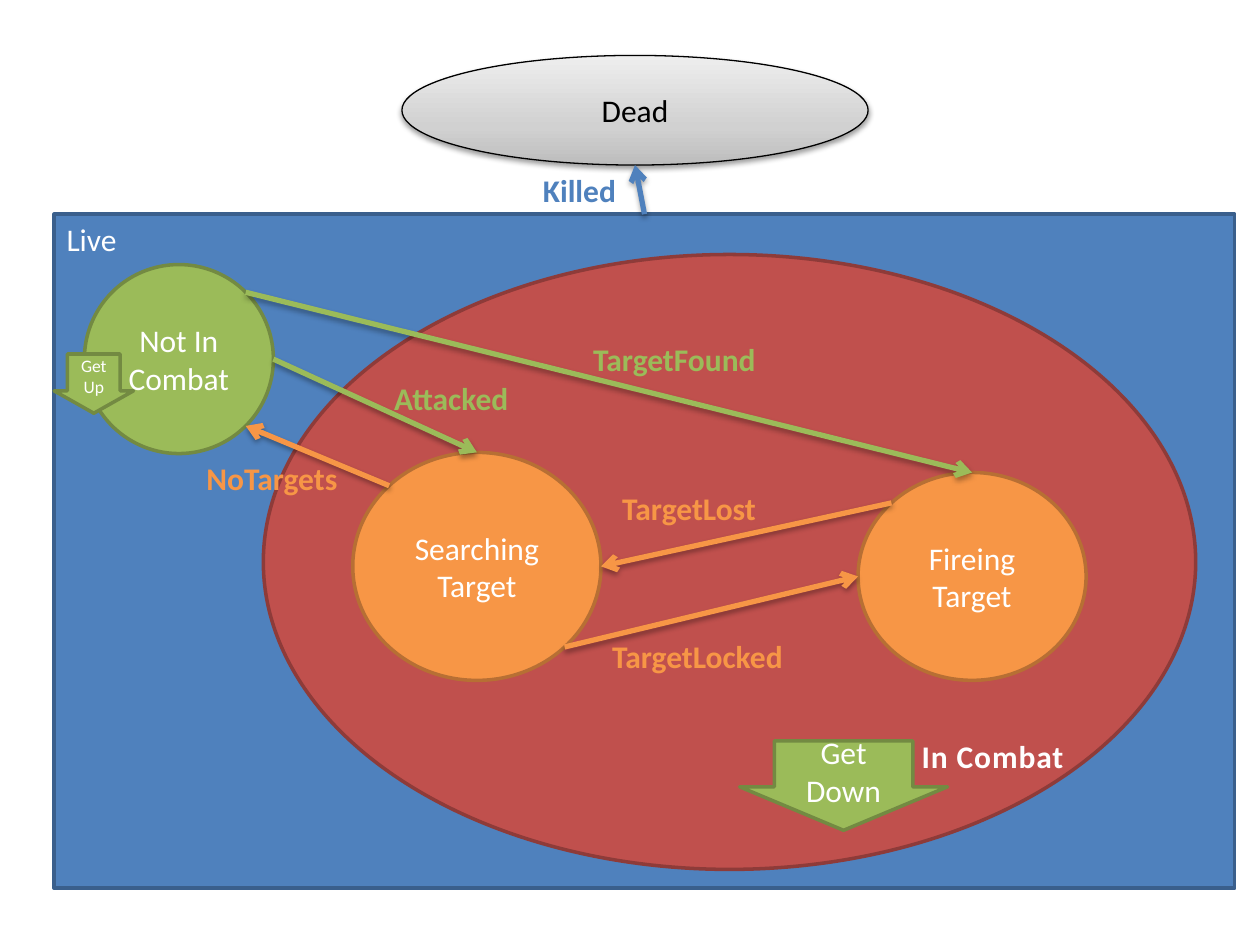
"""Build a state diagram of a combat character."""
from copy import deepcopy
from math import cos, radians, sin

from lxml import etree
from pptx import Presentation
from pptx.dml.color import RGBColor
from pptx.enum.shapes import MSO_CONNECTOR, MSO_SHAPE
from pptx.enum.text import MSO_ANCHOR, MSO_AUTO_SIZE, PP_ALIGN
from pptx.oxml.ns import qn
from pptx.util import Inches, Pt

OVAL, RECTANGLE, DOWN = MSO_SHAPE.OVAL, MSO_SHAPE.RECTANGLE, MSO_SHAPE.DOWN_ARROW
LEFT, CENTER, RIGHT = PP_ALIGN.LEFT, PP_ALIGN.CENTER, PP_ALIGN.RIGHT
TOP, MIDDLE = MSO_ANCHOR.TOP, MSO_ANCHOR.MIDDLE
FONT = "Calibri"
WHITE, BLACK = "FFFFFF", "000000"
BLUE, GREEN, RED, ORANGE = "4F81BD", "9BBB59", "C0504D", "F79646"
EDGES = {BLUE: "3A5F8C", GREEN: "738A42", RED: "8E3B39", ORANGE: "B76F34"}
DEAD_GRADIENT = [(0, "BDBDBD"), (0.35, "D1D1D1"), (1, "EEEEEE")]

STATES = {
    "dead": (OVAL, (3.19, 0.44, 3.7, 0.87), None, ["Dead"]),
    "live": (RECTANGLE, (0.43, 1.7, 9.37, 5.35), BLUE, ["Live"]),
    "idle": (OVAL, (0.67, 2.1, 1.5, 1.5), GREEN, ["Not In", "Combat"]),
    "combat": (OVAL, (2.09, 2.02, 7.4, 4.88), RED, []),
    "search": (OVAL, (2.8, 3.59, 1.97, 1.81), ORANGE, ["Searching", "Target"]),
    "fire": (OVAL, (6.81, 3.75, 1.81, 1.65), ORANGE, ["Fireing", "Target"]),
}
ANGLES = {"right": 0, "bottom right": 45, "bottom": 90, "left": 180,
          "top left": 225, "top": 270, "top right": 315}
TRANSITIONS = [
    ("live", "top", "dead", "bottom", BLUE),
    ("idle", "right", "search", "top", GREEN),
    ("search", "bottom right", "fire", "left", ORANGE),
    ("fire", "top left", "search", "right", ORANGE),
    ("search", "top left", "idle", "bottom right", ORANGE),
    ("idle", "top right", "fire", "top", GREEN),
]
LABELS = [
    ("Attacked", 3.03, 2.96, 1.12, GREEN),
    ("Killed", 4.21, 1.31, 0.79, BLUE),
    ("TargetLocked", 4.76, 5.01, 1.57, ORANGE),
    ("TargetLost", 4.84, 3.83, 1.27, ORANGE),
    ("TargetFound", 4.61, 2.65, 1.5, GREEN),
    ("NoTargets", 1.54, 3.59, 1.25, ORANGE),
    ("In Combat", 7.2, 5.8, 1.34, "FFFEFE"),
]
ACTIONS = [
    ("Get Down", (5.87, 5.88, 1.65, 0.71), (0.666, 0.486), 18),
    ("Get Up", (0.43, 2.81, 0.63, 0.47), (0.666, 0.377), 10),
]


def rgb(value):
    """Turn a hex string into a colour."""
    return RGBColor.from_string(value)


def add_child(parent, tag, **attributes):
    """Append a drawing element with the given attributes."""
    return etree.SubElement(parent, qn("a:" + tag), attributes)


def add_shadow(effects, opacity, distance):
    """Put a soft downward shadow in an effect list."""
    shadow = add_child(effects, "outerShdw", blurRad=str(Pt(3.1)),
                       dist=str(Pt(distance)), dir="5400000", rotWithShape="0")
    color = add_child(shadow, "srgbClr", val=BLACK)
    add_child(color, "alpha", val=str(opacity * 1000))


def write(frame, lines, color, size=18, align=CENTER, bold=False):
    """Write one paragraph per line and return the runs."""
    spans = []
    for index, line in enumerate(lines):
        para = frame.add_paragraph() if index else frame.paragraphs[0]
        para.alignment = align
        span = para.add_run()
        span.text = line
        font = span.font
        font.name, font.size, font.bold = FONT, Pt(size), bold
        font.color.rgb = rgb(color)
        spans.append(span)
    return spans


def add_box(page, kind, place, color):
    """Add a filled and outlined preset shape."""
    box = page.shapes.add_shape(kind, *map(Inches, place))
    if color:
        box.fill.solid()
        box.fill.fore_color.rgb = rgb(color)
    box.line.color.rgb = rgb(EDGES.get(color, BLACK))
    box.line.width = Pt(2 if color else 0.75)
    box.shadow.inherit = False
    box.text_frame.word_wrap = True
    return box


def shade_dead(box):
    """Give the dead state its grey gradient and shadow."""
    box.fill.gradient()
    properties = box._element.spPr
    stop_list = properties.find(".//" + qn("a:gsLst"))
    stop_list.append(deepcopy(stop_list[-1]))
    for stop, (position, color) in zip(box.fill.gradient_stops, DEAD_GRADIENT):
        stop.position, stop.color.rgb = position, rgb(color)
    box.fill.gradient_angle = 90
    add_shadow(properties.find(qn("a:effectLst")), 38, 1.6)


def site(name, side):
    """Find the point on a state's outline."""
    left, top, width, height = STATES[name][1]
    angle = radians(ANGLES[side])
    return (Inches(left + width / 2 * (1 + cos(angle))),
            Inches(top + height / 2 * (1 + sin(angle))))


def add_transition(page, boxes, start, start_side, end, end_side, color):
    """Draw an arrow between two states."""
    arrow = page.shapes.add_connector(
        MSO_CONNECTOR.STRAIGHT, *site(start, start_side), *site(end, end_side))
    if start_side == "top":
        arrow.begin_connect(boxes[start], 0)
    if end_side == "top":
        arrow.end_connect(boxes[end], 0)
    arrow.line.color.rgb = rgb(color)
    arrow.line.width = Pt(3)
    add_child(arrow.line._get_or_add_ln(), "tailEnd", type="arrow")
    add_shadow(add_child(arrow._element.spPr, "effectLst"), 35, 1.8)


def add_label(page, text, left, top, width, color):
    """Add a bold outlined caption."""
    box = page.shapes.add_textbox(*map(Inches, (left, top, width, 0.4)))
    frame = box.text_frame
    frame.word_wrap = False
    frame.auto_size = MSO_AUTO_SIZE.SHAPE_TO_FIT_TEXT
    title = text == "In Combat"
    span, = write(frame, [text], color, align=RIGHT if title else LEFT, bold=True)
    properties = span.font._element
    if title:
        properties.set("spc", "50")
    outline = etree.Element(qn("a:ln"), w=str(Pt(1 if title else 0.75)))
    add_child(add_child(outline, "solidFill"), "srgbClr",
              val="E78738" if title else BLACK)
    properties.insert(0, outline)


def main():
    """Build and save the slide."""
    deck = Presentation()
    deck.slide_width, deck.slide_height = Inches(10), Inches(7.5)
    page = deck.slides.add_slide(deck.slide_layouts[6])
    boxes = {}
    for name, (kind, place, color, lines) in STATES.items():
        box = boxes[name] = add_box(page, kind, place, color)
        area = kind == RECTANGLE
        box.text_frame.vertical_anchor = TOP if area else MIDDLE
        write(box.text_frame, lines, WHITE if color else BLACK,
              align=LEFT if area else CENTER)
    shade_dead(boxes["dead"])
    for transition in TRANSITIONS:
        add_transition(page, boxes, *transition)
    for label in LABELS:
        add_label(page, *label)
    for text, place, adjustments, size in ACTIONS:
        box = add_box(page, DOWN, place, GREEN)
        for index, value in enumerate(adjustments):
            box.adjustments[index] = value
        box.text_frame.vertical_anchor = MIDDLE
        write(box.text_frame, [text], WHITE, size)
    deck.save("out.pptx")


if __name__ == "__main__":
    main()
